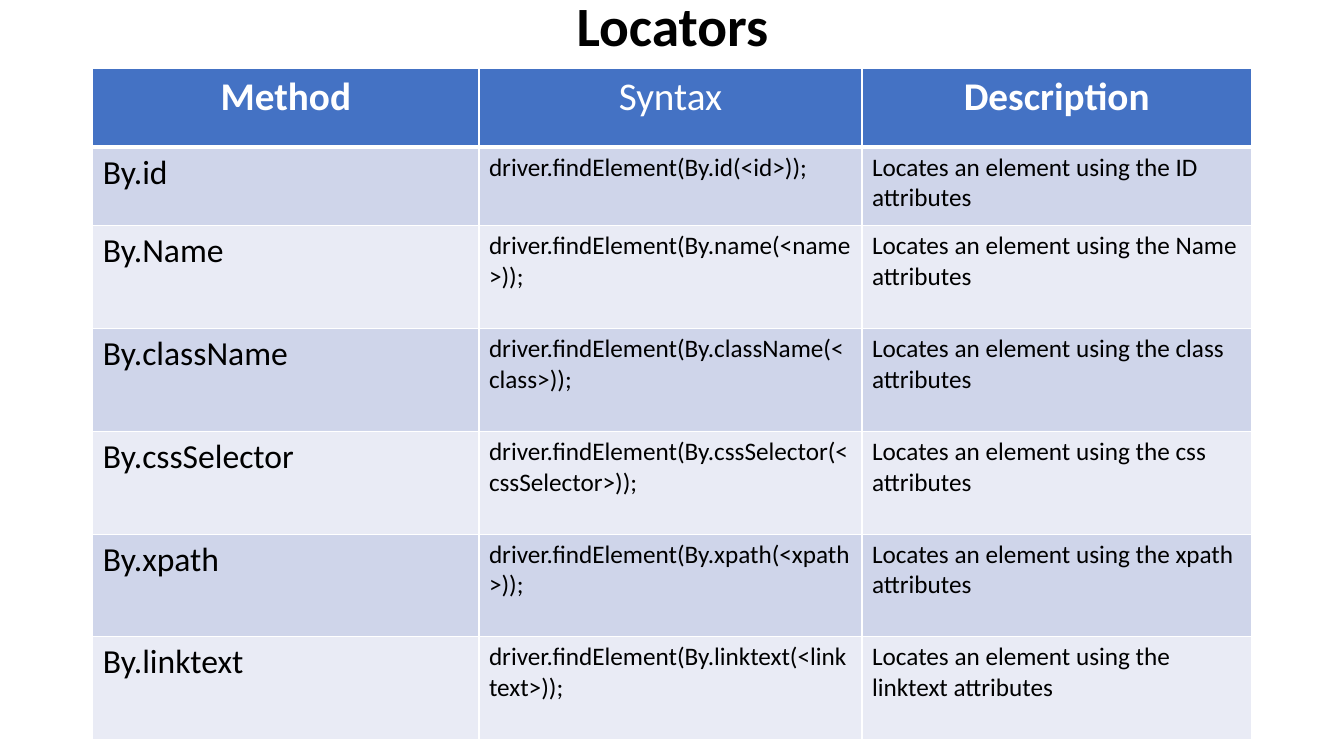
"""Build a slide with a table of locator methods, their syntax and meaning."""
from lxml import etree
from pptx import Presentation
from pptx.dml.color import RGBColor
from pptx.enum.text import MSO_ANCHOR, MSO_AUTO_SIZE, PP_ALIGN
from pptx.oxml.ns import qn
from pptx.util import Inches, Pt

CENTER, LEFT = PP_ALIGN.CENTER, PP_ALIGN.LEFT
MIDDLE = MSO_ANCHOR.MIDDLE
NO_AUTOFIT = MSO_AUTO_SIZE.NONE
FONT, WHITE, BLACK = "Calibri", "FFFFFF", "000000"
HEADER_FILL, BAND_FILLS = "4472C4", ("CFD5EA", "E9EBF5")
MARGIN = 0.92
COLUMN_WIDTHS = (3.83, 3.8, 3.86)
ROW_HEIGHTS = [0.78] * 2 + [1.02] * 5
BODY_SIZES = (24, 18, 18)

HEADERS = ("Method", "Syntax", "Description")
LOCATORS = (
    ("By.id", "id(<id>)", "ID"),
    ("By.Name", "name(<name>)", "Name"),
    ("By.className", "className(<class>)", "class"),
    ("By.cssSelector", "cssSelector(<cssSelector>)", "css"),
    ("By.xpath", "xpath(<xpath>)", "xpath"),
    ("By.linktext", "linktext(<linktext>)", "linktext"),
)


def set_text(para, text, size, color, bold, align):
    para.text = text
    para.alignment = align
    para.font.name = FONT
    para.font.size = Pt(size)
    para.font.bold = bold
    para.font.color.rgb = RGBColor.from_string(color)


def add_border(cell, side, width):
    line = etree.SubElement(cell._tc.get_or_add_tcPr(), qn(f"a:ln{side}"), w=str(Pt(width)))
    fill = etree.SubElement(line, qn("a:solidFill"))
    etree.SubElement(fill, qn("a:srgbClr"), val=WHITE)


deck = Presentation()
deck.slide_width, deck.slide_height = Inches(13.33), Inches(7.5)
page = deck.slides.add_slide(deck.slide_layouts.get_by_name("Title Only"))

title = page.shapes.title
title.left, title.top = Inches(MARGIN), 0
title.width, title.height = Inches(11.5), Inches(0.56)
title.text_frame.auto_size = NO_AUTOFIT
title.text_frame.vertical_anchor = MIDDLE
heading = title.text_frame.paragraphs[0]
set_text(heading, "Locators", 39.6, BLACK, True, CENTER)
heading.line_spacing = 0.9

rows = [HEADERS] + [
    (method, f"driver.findElement(By.{call});", f"Locates an element using the {attribute} attributes")
    for method, call, attribute in LOCATORS
]
table = page.shapes.add_table(
    len(rows), len(HEADERS), Inches(MARGIN), Inches(0.68),
    Inches(sum(COLUMN_WIDTHS)), Inches(sum(ROW_HEIGHTS)),
).table
for column, width in zip(table.columns, COLUMN_WIDTHS):
    column.width = Inches(width)

for row, texts in enumerate(rows):
    table.rows[row].height = Inches(ROW_HEIGHTS[row])
    is_header = row == 0
    for column, text in enumerate(texts):
        cell = table.cell(row, column)
        para = cell.text_frame.paragraphs[0]
        if is_header:
            set_text(para, text, 28, WHITE, text != "Syntax", CENTER)
        else:
            set_text(para, text, BODY_SIZES[column], BLACK, False, LEFT)
        for side in "LRTB":
            under_header = (row, side) in ((0, "B"), (1, "T"))
            add_border(cell, side, 3 if under_header else 1)
        cell.fill.solid()
        fill = HEADER_FILL if is_header else BAND_FILLS[(row - 1) % 2]
        cell.fill.fore_color.rgb = RGBColor.from_string(fill)

deck.save("out.pptx")
